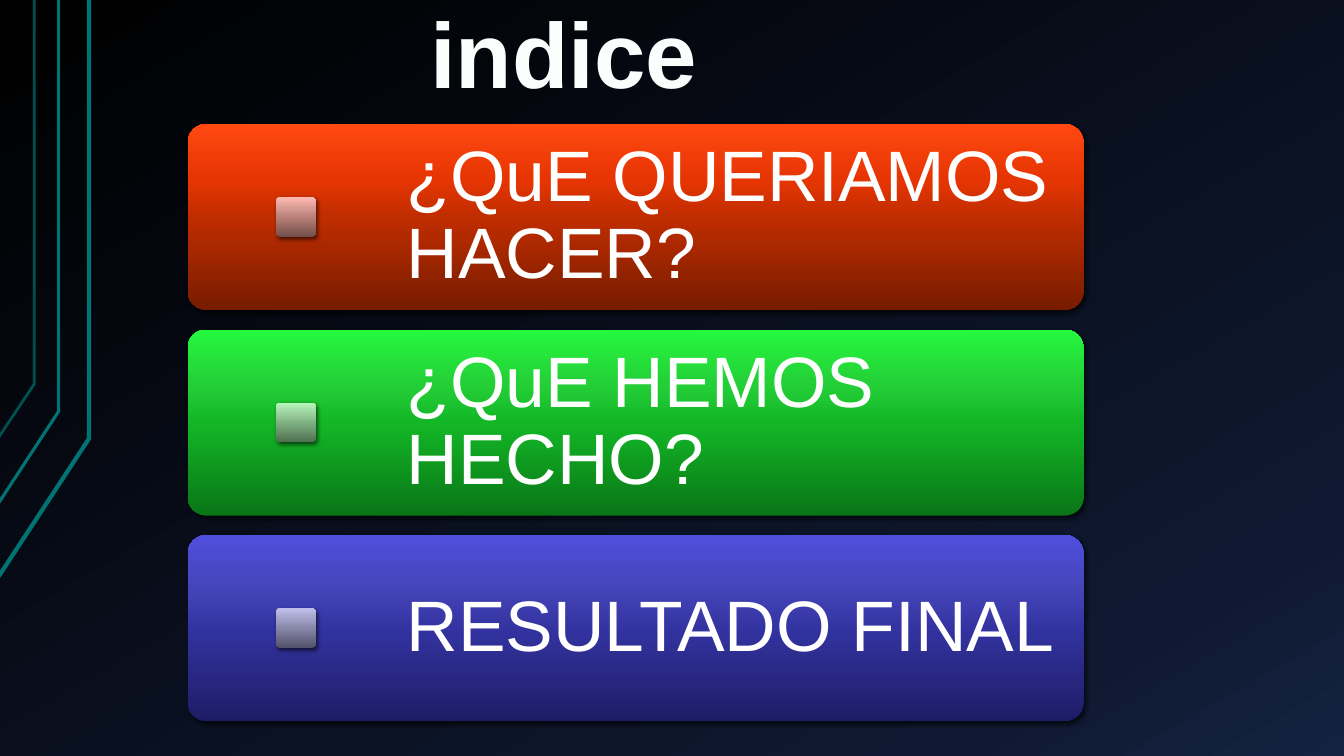
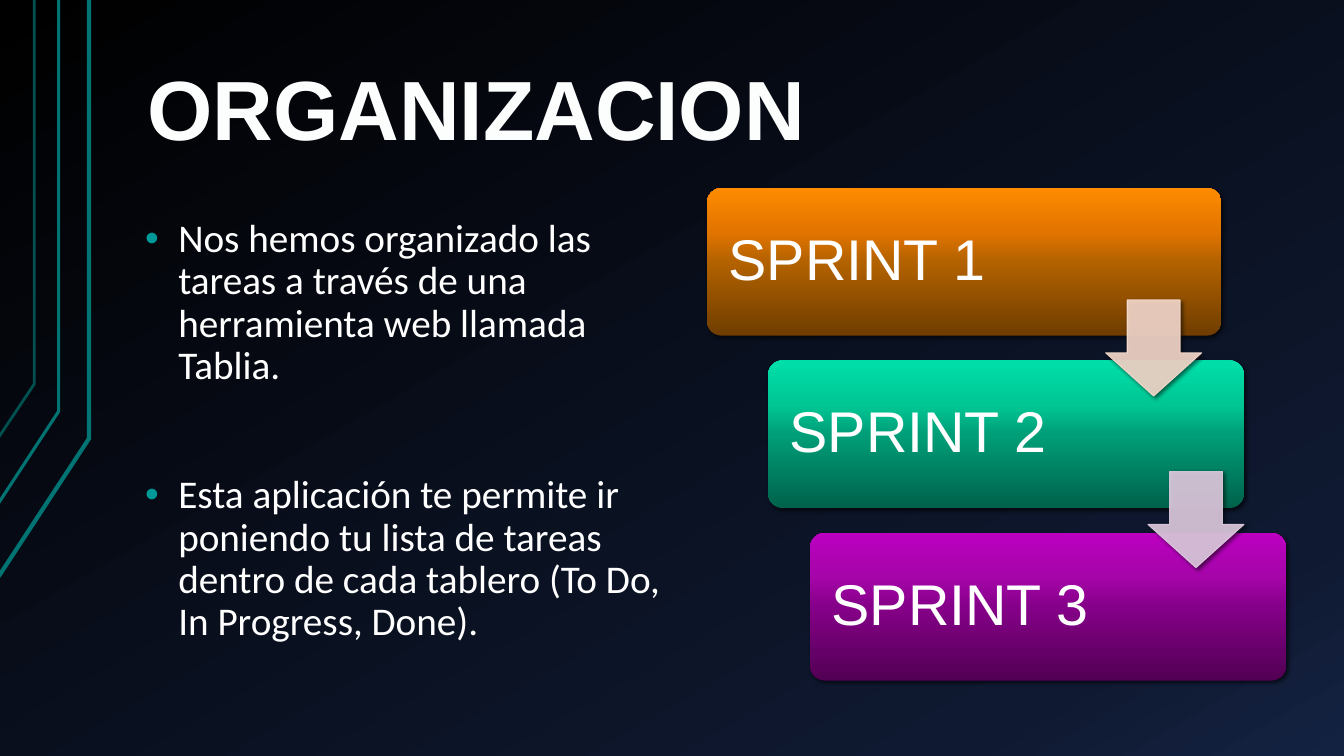
import pptx
import pptx.util
import pptx.dml.color
import pptx.enum.shapes
import pptx.enum.text
import pptx.oxml
import pptx.oxml.ns

Pt = pptx.util.Pt
qn = pptx.oxml.ns.qn
KIND = pptx.enum.shapes.MSO_SHAPE
ANCHOR = pptx.enum.text.MSO_ANCHOR
NS = pptx.oxml.ns.nsdecls("a")

HEX = {
    "white": "FFFFFF", "title": "FCFDFD", "bullet": "009999",
    "teal": "007373", "dim": "005050",
    "peach": "F7DACC", "lilac": "E0CCE1",
}
RAMP = {
    "red": "771C00 C02D00 E63503 FF4911",
    "rose": "734E4A B88079 D59992 FFB9B1",
    "green": "097516 13B726 24CE37 25F93E",
    "mint": "4E6E50 7FB182 98CD9B B7F7BA",
    "blue": "1D1D66 3333A1 4444B8 4F4FDD",
    "grey": "525269 8686A8 9F9FC4 BFBFEC",
    "orange": "6F3D00 B36200 E27400 FE8B00",
    "jade": "00624B 009E78 00C794 00DFAA",
    "purple": "520054 850088 A505A9 BC00C0",
    "night": "000000 0F1931 142242",
}
STOPS = (0, 50, 70, 100)


def rgb(name):
    return pptx.dml.color.RGBColor.from_string(HEX[name])


def grade(fill, node, ramp, stops=STOPS, angle=90):
    """Give the fill that belongs to node a gradient of several stops."""
    fill.gradient()
    fill.gradient_angle = angle
    items = node.find(".//" + qn("a:gsLst"))
    for old in list(items):
        items.remove(old)
    for pos, tone in zip(stops, RAMP[ramp].split()):
        items.append(pptx.oxml.parse_xml(
            f'<a:gs {NS} pos="{pos * 1000}"><a:srgbClr val="{tone}"/></a:gs>'))


def shade(shape):
    """Add the soft shadow that all raised shapes have."""
    shape.shadow.inherit = False
    effects = shape._element.spPr.find(qn("a:effectLst"))
    effects.append(pptx.oxml.parse_xml(
        f'<a:outerShdw {NS} blurRad="{Pt(3)}" dist="{Pt(2)}" dir="2700000" '
        'rotWithShape="0"><a:srgbClr val="000000"><a:alpha val="60000"/>'
        '</a:srgbClr></a:outerShdw>'))


def mark(para, hang):
    """Turn a paragraph into a bullet with a hanging indent."""
    props = para._p.get_or_add_pPr()
    props.set("marL", str(Pt(hang)))
    props.set("indent", str(-Pt(hang)))
    for xml in (f'<a:buClr {NS}><a:srgbClr val="{HEX["bullet"]}"/></a:buClr>',
                f'<a:buFont {NS} typeface="Arial"/>',
                f'<a:buChar {NS} char="•"/>'):
        props.append(pptx.oxml.parse_xml(xml))


def write(shape, *lines, size, font="Arial", color="white", bold=False,
          anchor=ANCHOR.MIDDLE, pad=(9.4, 5, 9.4, 5), hang=0, gap=0):
    """Fill a shape with paragraphs; pad is left, top, right, bottom."""
    frame = shape.text_frame
    frame.word_wrap = True
    frame.vertical_anchor = anchor
    (frame.margin_left, frame.margin_top,
     frame.margin_right, frame.margin_bottom) = map(Pt, pad)
    for num, line in enumerate(lines):
        para = frame.add_paragraph() if num else frame.paragraphs[0]
        para.alignment = pptx.enum.text.PP_ALIGN.LEFT
        para.line_spacing = 0.9
        if num:
            para.space_before = Pt(gap)
        if hang:
            mark(para, hang)
        run = para.add_run()
        run.text = line
        run.font.name = font
        run.font.size = Pt(size)
        run.font.bold = bold
        run.font.color.rgb = rgb(color)


def label(slide, box, *lines, **style):
    write(slide.shapes.add_textbox(*map(Pt, box)), *lines, **style)


def title(slide, box, words, size):
    label(slide, box, words, size=size, color="title", bold=True,
          anchor=ANCHOR.BOTTOM)


def card(slide, box, ramp):
    shape = slide.shapes.add_shape(KIND.ROUNDED_RECTANGLE, *map(Pt, box))
    shape.adjustments[0] = 0.1
    grade(shape.fill, shape._element.spPr, ramp)
    shape.line.fill.background()
    shade(shape)
    return shape


def arrow(slide, left, top, color):
    side = Pt(68.6)
    shape = slide.shapes.add_shape(KIND.DOWN_ARROW, Pt(left), Pt(top), side, side)
    shape.adjustments[0] = 0.55
    shape.adjustments[1] = 0.45
    shape.fill.solid()
    shape.fill.fore_color.rgb = rgb(color)
    shape.line.color.rgb = rgb(color)
    shape.line.width = Pt(0.75)
    for tone in shape._element.spPr.iter(qn("a:srgbClr")):
        tone.append(pptx.oxml.parse_xml(f'<a:alpha {NS} val="90000"/>'))
    shade(shape)


def rails(slide):
    """Draw the three bent lines at the left edge."""
    for right, bend, end, width, color in (
            (63.6, 313.2, 411.8, 3, "teal"),
            (41.9, 293.8, 359.3, 2.25, "teal"),
            (24.5, 274.3, 312.5, 2, "dim")):
        path = slide.shapes.build_freeform(Pt(-1), Pt(end))
        path.add_line_segments(
            [(Pt(right), Pt(bend)), (Pt(right), 0)], close=False)
        line = path.convert_to_shape()
        line.fill.background()
        line.line.color.rgb = rgb(color)
        line.line.width = Pt(width)
        line.shadow.inherit = False


def page(deck):
    slide = deck.slides.add_slide(deck.slide_layouts[6])
    rails(slide)
    return slide


def index(deck):
    slide = page(deck)
    title(slide, (298, 15.1, 272, 67.7), "indice", 66)
    high, chip = 133, 28.3
    for num, (words, ramp, tint) in enumerate((
            ("¿QuE QUERIAMOS HACER?", "red", "rose"),
            ("¿QuE HEMOS HECHO?", "green", "mint"),
            ("RESULTADO FINAL", "blue", "grey"))):
        top = 88.6 + num * 146.8
        bar = card(slide, (134, top, 640, high), ramp)
        write(bar, words, size=51, pad=(152.5, 11, 10, 11))
        card(slide, (197.3, top + (high - chip) / 2, chip, chip), tint)


def sprints(deck):
    slide = page(deck)
    title(slide, (95.8, 21.6, 816, 96.5), "ORGANIZACION", 60)
    label(slide, (94.3, 151.2, 399.6, 351.4),
          "Nos hemos organizado las tareas a través de una herramienta web "
          "llamada Tablia.",
          "Esta aplicación te permite ir poniendo tu lista de tareas dentro "
          "de cada tablero (To Do, In Progress, Done).",
          size=28, font="Calibri", anchor=ANCHOR.TOP, hang=23.6, gap=62)
    for num, (left, wide, ramp) in enumerate((
            (505, 367.5, "orange"), (548.6, 340, "jade"),
            (578.7, 340, "purple"))):
        step = card(slide, (left, 134.3 + num * 123.2, wide, 105.5), ramp)
        write(step, f"SPRINT {num + 1}", size=41, pad=(12.3, 9, 12.3, 9))
    for num, color in enumerate(("peach", "lilac")):
        arrow(slide, 789.8 + num * 30.2, 214.3 + num * 122.6, color)


def main():
    deck = pptx.Presentation()
    deck.slide_width, deck.slide_height = Pt(960), Pt(540)
    master = deck.slide_master
    grade(master.background.fill, master.element, "night", (0, 85, 100), 300)
    index(deck)
    sprints(deck)
    deck.save("out.pptx")


if __name__ == "__main__":
    main()
